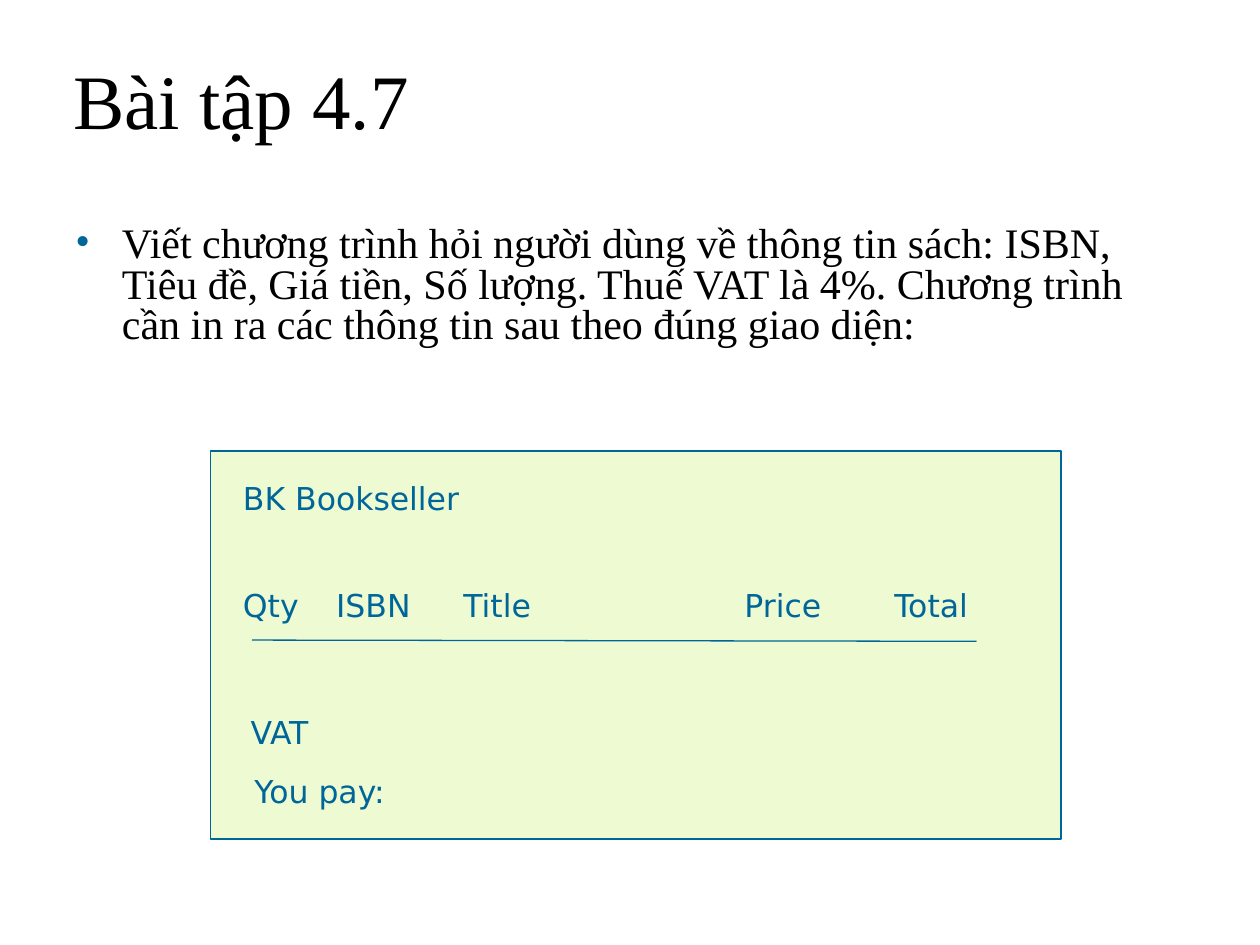
from pptx import Presentation
from pptx import util as u
from pptx.dml.color import RGBColor
from pptx.enum import shapes, text
from pptx.oxml import ns
from lxml import etree

BLACK = RGBColor(0x00, 0x00, 0x00)
BLUE = RGBColor(0x00, 0x66, 0x99)
PALE_GREEN = RGBColor(0xED, 0xFA, 0xD2)

HEADING = {"name": "Times New Roman", "size": u.Pt(44)}
BODY = {"name": "Times New Roman", "size": u.Pt(24)}
RECEIPT = {"name": "DejaVu Sans", "size": u.Pt(18)}

TASK = (
    "Viết chương trình hỏi người dùng về thông tin sách: ISBN, Tiêu đề, "
    "Giá tiền, Số lượng. Thuế VAT là 4%. Chương trình cần in ra các thông tin "
    "sau theo đúng giao diện:"
)
COLUMNS = ["Qty", "ISBN", "Title", "Price", "Total"]
COLUMN_STOPS = [0.74, 1.75, 3.98, 5.17]
RECEIPT_LINES = [
    ("BK Bookseller", 1.83, 3.75, 2.5),
    ("\t".join(COLUMNS), 1.83, 4.6, 6.42),
    ("VAT", 1.89, 5.61, 2.5),
    ("You pay:", 1.92, 6.08, 2.5),
]


def inches(*lengths):
    return [u.Inches(length) for length in lengths]


def set_attributes(target, values):
    for name, value in values.items():
        setattr(target, name, value)


def write(shape, content, font, color, paragraph_format):
    shape.text_frame.text = content
    paragraph = shape.text_frame.paragraphs[0]
    set_attributes(paragraph, paragraph_format)
    run = paragraph.runs[0]
    set_attributes(run.font, font)
    run.font.color.rgb = color
    return paragraph


def add_title(slide, content):
    title = slide.shapes.title
    title.left, title.top, title.width, title.height = inches(0.48, 0.11, 9.02, 1.44)
    write(title, content, HEADING, BLACK,
          {"alignment": text.PP_ALIGN.LEFT, "line_spacing": 0.9})
    set_attributes(title.text_frame, {
        "vertical_anchor": text.MSO_ANCHOR.MIDDLE,
        "auto_size": text.MSO_AUTO_SIZE.NONE,
    })


def add_text(slide, content, box, font, color, paragraph_format):
    shape = slide.shapes.add_textbox(*inches(*box))
    shape.text_frame.word_wrap = True
    return write(shape, content, font, color, paragraph_format)


def add_bullet(paragraph, indent, color):
    properties = paragraph._p.get_or_add_pPr()
    properties.set("marL", str(u.Inches(indent)))
    properties.set("indent", str(-u.Inches(indent)))
    bullet_color = etree.SubElement(properties, ns.qn("a:buClr"))
    etree.SubElement(bullet_color, ns.qn("a:srgbClr"), val=str(color))
    etree.SubElement(properties, ns.qn("a:buFont"), typeface="Times New Roman")
    etree.SubElement(properties, ns.qn("a:buChar"), char="•")


def add_tab_stops(paragraph, stops):
    tabs = etree.SubElement(paragraph._p.get_or_add_pPr(), ns.qn("a:tabLst"))
    for stop in stops:
        etree.SubElement(tabs, ns.qn("a:tab"), pos=str(u.Inches(stop)), algn="l")


def set_line(shape):
    shape.line.color.rgb = BLUE
    shape.line.width = u.Pt(0.75)


def add_panel(slide, box):
    panel = slide.shapes.add_shape(shapes.MSO_SHAPE.RECTANGLE, *inches(*box))
    panel.shadow.inherit = False
    panel.fill.solid()
    panel.fill.fore_color.rgb = PALE_GREEN
    set_line(panel)


def add_rule(slide, ends):
    rule = slide.shapes.add_connector(shapes.MSO_CONNECTOR.STRAIGHT, *inches(*ends))
    set_line(rule)
    etree.SubElement(rule._element.spPr, ns.qn("a:effectLst"))


def add_receipt(slide):
    add_panel(slide, (1.67, 3.58, 6.75, 3.08))
    for content, left, top, width in RECEIPT_LINES:
        paragraph = add_text(slide, content, (left, top, width, 0.4), RECEIPT, BLUE,
                             {"space_before": u.Pt(11.2)})
        if "\t" in content:
            add_tab_stops(paragraph, COLUMN_STOPS)
    add_rule(slide, (2, 5.08, 7.75, 5.09))


def main():
    presentation = Presentation()
    presentation.slide_width, presentation.slide_height = inches(10, 7.5)
    slide = presentation.slides.add_slide(presentation.slide_layouts[5])
    add_title(slide, "Bài tập 4.7")
    task = add_text(slide, TASK, (0.5, 1.75, 9, 1.83), BODY, BLACK,
                    {"line_spacing": 0.8, "space_before": u.Pt(6)})
    add_bullet(task, 0.37, BLUE)
    add_receipt(slide)
    presentation.save("out.pptx")


if __name__ == "__main__":
    main()
